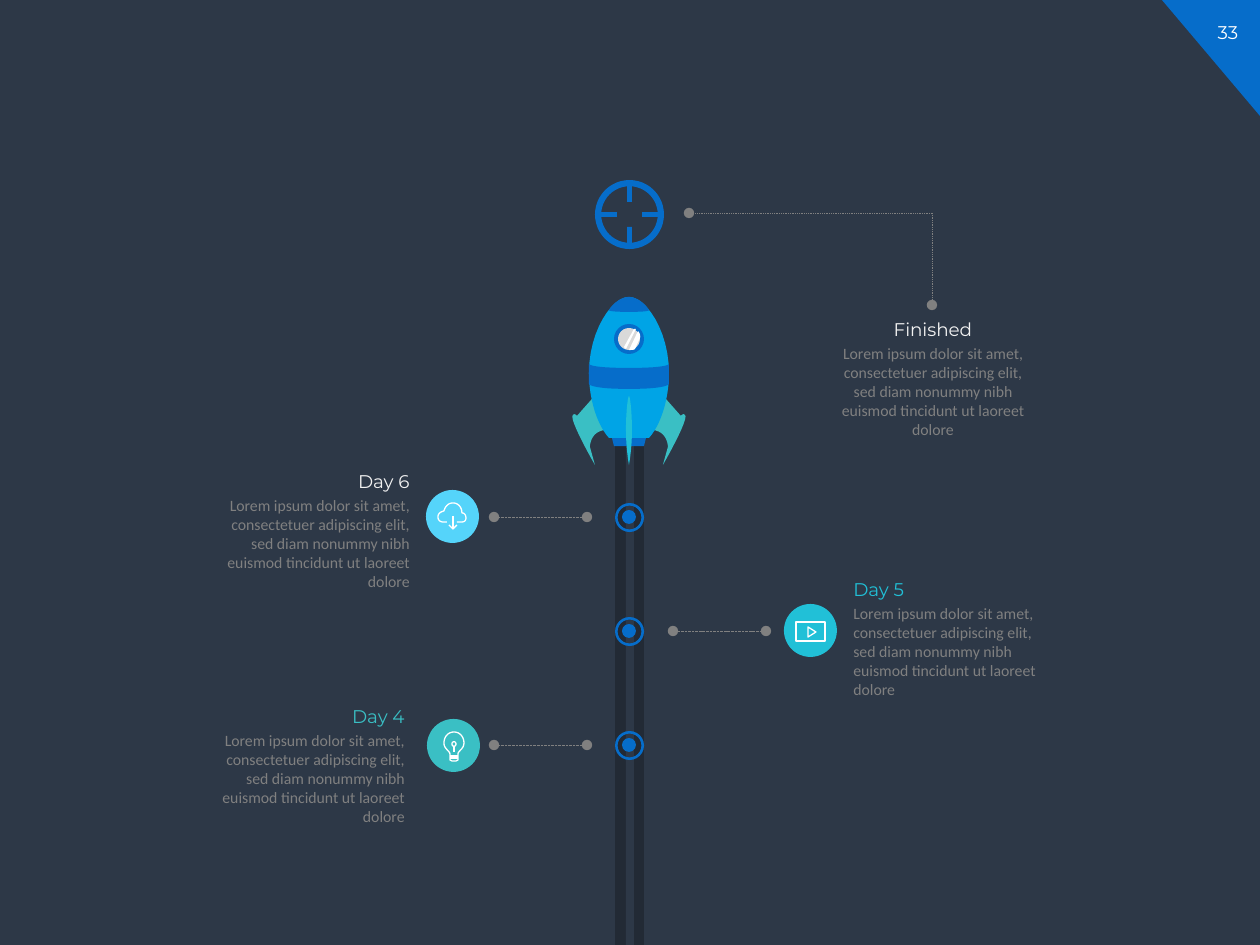
from lxml import etree
from pptx import Presentation
from pptx import util as u
from pptx.dml import color
from pptx.enum import dml, shapes, text
from pptx.oxml import ns

PX = 914400 / 126
NAVY, BLUE, SKY, TEAL, CYAN = "2D3847", "066DCA", "00A4E6", "3ABFC4", "21C0D7"
GREY, WHITE, PALE = "808080", "FFFFFF", "F2F2F2"
KIND = shapes.MSO_SHAPE
LEFT, CENTER, RIGHT = text.PP_ALIGN.LEFT, text.PP_ALIGN.CENTER, text.PP_ALIGN.RIGHT
LOREM = ("Lorem ipsum dolor sit amet, consectetuer adipiscing elit, sed diam "
         "nonummy nibh euismod tincidunt ut laoreet dolore")

FIN = [(24, 102), (9, 119), (9, 119, 7, 116, 5, 118), (0, 121, 27, 168, 27, 168),
       (22, 150), (22, 150, 22, 134, 38, 133)]
NOZZLE = [(76, 149), (46, 149), (44, 141), (78, 141)]
BODY = [(81, 141), (92, 129, 101, 104, 101, 76), (101, 34, 78, 0, 61, 0),
        (44, 0, 21, 34, 21, 76), (21, 104, 30, 129, 41, 141)]
NOSE = [(81, 13), (75, 4, 67, 0, 61, 0), (55, 0, 47, 4, 41, 13),
        (41, 13, 38, 15, 61, 15), (84, 15, 81, 13, 81, 13)]
BAND = [(21, 67), (21, 87), (21, 87, 22, 92, 61, 92), (100, 92, 101, 87, 101, 87),
        (101, 67), (101, 67, 101, 71, 61, 71), (21, 71, 21, 67, 21, 67)]
STRIPE = [(64, 133), (64, 152, 61, 168, 61, 168), (61, 168, 58, 152, 58, 133),
          (58, 114, 60, 99, 61, 99), (62, 99, 64, 114, 64, 133)]
GLINTS = [[(68, 32), (66, 32), (56, 50), (58, 52)],
          [(70, 34), (61, 53), (64, 53, 66, 53, 67, 52), (72, 41), (73, 38, 71, 35, 70, 34)]]

CLOUD = [[(21, 32), (17, 32), (14, 32, 12, 30, 12, 27), (12, 24, 14, 22, 18, 21),
          (19, 17, 22, 13, 27, 13), (32, 13, 36, 17, 36, 23), (39, 23, 40, 26, 40, 28),
          (40, 31, 38, 32, 36, 32), (31, 32)],
         [(27, 26), (27, 39)], [(23, 35), (27, 39), (31, 35)]]
VIDEO = [[(12, 18), (41, 18), (41, 37), (12, 37), (12, 18)],
         [(24, 23), (32, 28), (24, 33), (24, 23)]]
BULB = [[(23, 41), (23, 35), (23, 32, 17, 30, 17, 24), (17, 18, 21, 13, 27, 13),
         (33, 13, 37, 18, 37, 24), (37, 30, 31, 32, 31, 35), (31, 41), (29, 42),
         (25, 42), (23, 41)],
        [(23, 37), (31, 37)], [(23, 39), (31, 39)], [(27, 27), (27, 33)],
        [(25, 25), (25, 22, 29, 22, 29, 25), (29, 28, 25, 28, 25, 25)]]


def px(value):
    """Turn px into EMU."""
    return u.Emu(round(value * PX))


def rgb(value):
    """Turn a hex string into a colour."""
    return color.RGBColor.from_string(value)


def style(shape, fill=None, line=None):
    """Set the fill and outline of a shape and drop its shadow."""
    shape.shadow.inherit = False
    if fill:
        shape.fill.solid()
        shape.fill.fore_color.rgb = rgb(fill)
    else:
        shape.fill.background()
    if line:
        shape.line.color.rgb = rgb(line)
        shape.line.width = u.Pt(0.75)
    else:
        shape.line.fill.background()
    return shape


def add_preset(parent, kind, left, top, width, height, fill):
    """Add a filled preset shape."""
    shape = parent.add_shape(kind, px(left), px(top), px(width), px(height))
    return style(shape, fill)


def add_ring(parent, left, top, size):
    """Add a thin blue ring."""
    add_preset(parent, KIND.DONUT, left, top, size, size, BLUE).adjustments[0] = 0.09


def flatten(contour, steps=12):
    """Turn points and cubic segments into a list of close points."""
    points = [contour[0]]
    for segment in contour[1:]:
        if len(segment) == 2:
            points.append(segment)
            continue
        x0, y0 = points[-1]
        x1, y1, x2, y2, x3, y3 = segment
        for step in range(1, steps + 1):
            t = step / steps
            a, b, c, d = (1 - t) ** 3, 3 * t * (1 - t) ** 2, 3 * t * t * (1 - t), t ** 3
            points.append((a * x0 + b * x1 + c * x2 + d * x3,
                           a * y0 + b * y1 + c * y2 + d * y3))
    return [(x * 100, y * 100) for x, y in points]


def add_outline(parent, left, top, contours, fill=None, line=None):
    """Add a freeform whose contours are relative to left and top."""
    first, *others = [flatten(contour) for contour in contours]
    builder = parent.build_freeform(*first[0], scale=PX / 100)
    builder.add_line_segments(first[1:], close=bool(fill))
    for points in others:
        builder.move_to(*points[0])
        builder.add_line_segments(points[1:], close=bool(fill))
    return style(builder.convert_to_shape(px(left), px(top)), fill, line)


def add_text(slide, words, left, top, width, height, size=9, font="Calibri",
             fill=GREY, align=LEFT):
    """Add a wrapped text box."""
    frame = slide.shapes.add_textbox(px(left), px(top), px(width), px(height)).text_frame
    frame.word_wrap = True
    paragraph = frame.paragraphs[0]
    paragraph.text = words
    paragraph.alignment = align
    paragraph.font.size = u.Pt(size)
    paragraph.font.name = font
    paragraph.font.color.rgb = rgb(fill)


def add_dotted_line(slide, start, end, dash, ovals):
    """Add a thin grey connector with round dots at the named ends."""
    line = slide.shapes.add_connector(shapes.MSO_CONNECTOR.STRAIGHT,
                                      *map(px, start + end))
    line.line.color.rgb = rgb(GREY)
    line.line.width = u.Pt(0.5)
    line.line.dash_style = dash
    properties = line._element.spPr
    for name in ovals:
        etree.SubElement(properties.find(ns.qn("a:ln")), ns.qn(f"a:{name}"), type="oval")
    etree.SubElement(properties, ns.qn("a:effectLst"))


def add_page_corner(slide, left, top, width, height):
    """Add the corner triangle and the page number."""
    add_preset(slide.shapes, KIND.RIGHT_TRIANGLE, left, top, width, height, BLUE).rotation = 180
    add_text(slide, "33", left + 34, top + 15, 64, 35, size=10.5,
             font="Montserrat", fill=WHITE, align=CENTER)


def add_track(slide, left, top, width, height, marker_tops):
    """Add the vertical track and its round markers."""
    track = slide.shapes.add_group_shape().shapes
    add_preset(track, KIND.RECTANGLE, left, top, width, height, "222A35")
    add_preset(track, KIND.RECTANGLE, left + 11, top + 5, 8, height - 5, NAVY)
    for marker_top in marker_tops:
        marker = slide.shapes.add_group_shape().shapes
        add_preset(marker, KIND.OVAL, left + 7, marker_top + 7, 14, 14, BLUE)
        add_ring(marker, left, marker_top, width)


def add_rocket(slide, left, top, width):
    """Add the rocket as one group."""
    rocket = slide.shapes.add_group_shape().shapes
    mirrored = [tuple(width - n if i % 2 == 0 else n for i, n in enumerate(segment))
                for segment in FIN]
    for contour, fill in ((FIN, TEAL), (mirrored, TEAL), (NOZZLE, BLUE), (BODY, SKY),
                          (NOSE, BLUE), (BAND, BLUE), (STRIPE, CYAN)):
        add_outline(rocket, left, top, [contour], fill)
    add_preset(rocket, KIND.OVAL, left + 46, top + 27, 30, 30, BLUE)
    add_preset(rocket, KIND.OVAL, left + 50, top + 31, 22, 22, "D9D9D9")
    for glint in GLINTS:
        add_outline(rocket, left, top, [glint], WHITE)


def add_target(slide, left, top, size):
    """Add the ring with four ticks."""
    target = slide.shapes.add_group_shape().shapes
    add_ring(target, left, top, size)
    middle = size // 2 - 2
    for offset in (4, size - 22):
        add_preset(target, KIND.RECTANGLE, left + middle, top + offset, 5, 18, BLUE)
        add_preset(target, KIND.RECTANGLE, left + offset, top + middle, 18, 5, BLUE)


def add_entry(slide, title, left, top, fill, align):
    """Add a heading with its description below."""
    add_text(slide, LOREM, left, top + 26, 228, 108, align=align)
    add_text(slide, title, left, top, 228, 35, size=10.5, font="Montserrat",
             fill=fill, align=align)


def add_badge(slide, left, top, fill, icon):
    """Add a round badge with a white line icon."""
    badge = slide.shapes.add_group_shape().shapes
    add_preset(badge, KIND.OVAL, left, top, 53, 53, fill)
    add_outline(badge, left, top, icon, line=WHITE)


def main():
    """Build the slide and save it."""
    presentation = Presentation()
    presentation.slide_width, presentation.slide_height = px(1260), px(945)
    slide = presentation.slides.add_slide(presentation.slide_layouts[6])
    slide.background.fill.solid()
    slide.background.fill.fore_color.rgb = rgb(NAVY)
    add_page_corner(slide, 1162, 0, 98, 116)
    add_track(slide, 615, 410, 29, 535, [503 + 114 * i for i in range(3)])
    add_rocket(slide, 568, 297, 122)
    dots = dml.MSO_LINE.ROUND_DOT
    for start, end, y in ((587, 494, 517), (587, 494, 745), (673, 766, 631)):
        add_dotted_line(slide, (start, y), (end, y), dml.MSO_LINE.SQUARE_DOT,
                        ("headEnd", "tailEnd"))
    add_dotted_line(slide, (689, 213), (932, 213), dots, ("headEnd",))
    add_dotted_line(slide, (932, 213), (932, 305), dots, ("tailEnd",))
    add_target(slide, 595, 180, 69)
    add_badge(slide, 784, 604, CYAN, VIDEO)
    add_badge(slide, 426, 490, "55D4FA", CLOUD)
    add_badge(slide, 427, 719, TEAL, BULB)
    add_entry(slide, "Day 4", 189, 699, TEAL, RIGHT)
    add_entry(slide, "Day 5", 841, 572, CYAN, LEFT)
    add_entry(slide, "Day 6", 194, 464, PALE, RIGHT)
    add_entry(slide, "Finished", 819, 312, PALE, CENTER)
    presentation.save("out.pptx")


if __name__ == "__main__":
    main()
